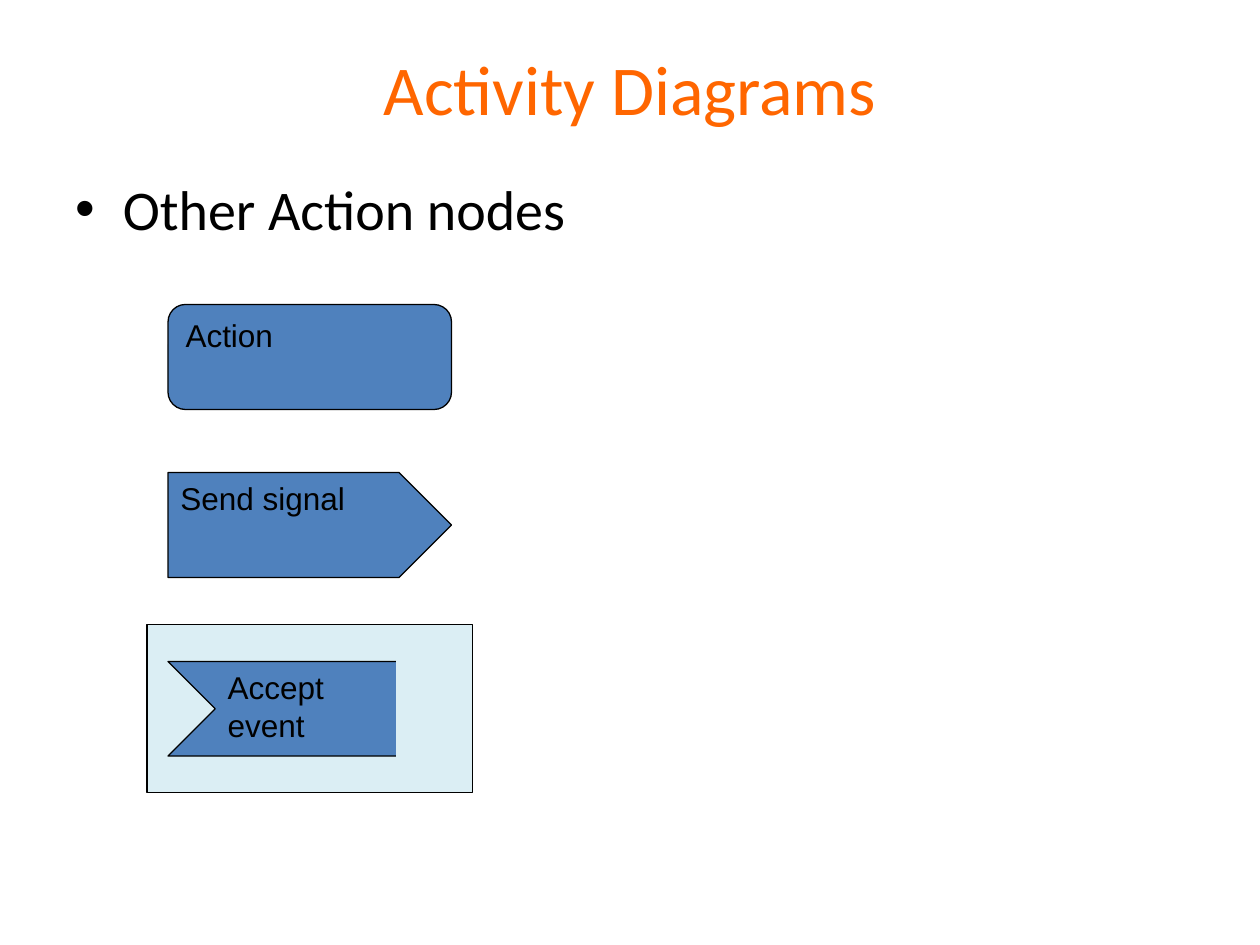
from pptx import Presentation
from pptx.dml.color import RGBColor
from pptx.enum import shapes, text
from pptx.util import Inches, Pt

ORANGE = RGBColor(0xFF, 0x66, 0x00)
BLACK = RGBColor(0, 0, 0)
BLUE = RGBColor(0x4F, 0x81, 0xBD)
PALE = RGBColor(0xDB, 0xEE, 0xF4)
KIND = shapes.MSO_SHAPE


def write(shape, words, size=18, font="Arial", color=BLACK,
          align=text.PP_ALIGN.LEFT, anchor=text.MSO_ANCHOR.TOP):
    frame = shape.text_frame
    frame.word_wrap = True
    frame.vertical_anchor = anchor
    para = frame.paragraphs[0]
    para.alignment = align
    run = para.add_run()
    run.text = words
    run.font.size = Pt(size)
    run.font.name = font
    run.font.color.rgb = color


class Board:
    """Slide on a grid of 60 columns by 45 rows."""
    cell = Inches(1) / 6

    def __init__(self):
        self.deck = Presentation()
        self.deck.slide_width = round(60 * self.cell)
        self.deck.slide_height = round(45 * self.cell)
        self.slide = self.deck.slides.add_slide(self.deck.slide_layouts[1])

    def span(self, *cells):
        return [round(n * self.cell) for n in cells]

    def holder(self, index, box, words, **style):
        item = self.slide.placeholders[index]
        item.left, item.top, item.width, item.height = self.span(*box)
        write(item, words, font="Calibri", **style)

    def node(self, kind, box, words="", fill=BLUE, line=BLACK):
        item = self.slide.shapes.add_shape(kind, *self.span(*box))
        item.shadow.inherit = False
        item.fill.solid()
        item.fill.fore_color.rgb = fill
        item.line.color.rgb = line
        item.line.width = Pt(0.75)
        if words:
            write(item, words)


def main():
    board = Board()

    # Title and list
    board.holder(0, (3, 1.8, 54, 4.75), "Activity Diagrams", size=40,
                 color=ORANGE, align=text.PP_ALIGN.CENTER,
                 anchor=text.MSO_ANCHOR.MIDDLE)
    board.holder(1, (3, 8, 54, 30.5), "Other Action nodes", size=32)

    # Panel behind the last node
    board.node(KIND.RECTANGLE, (7, 29.75, 15.5, 8), fill=PALE)

    # Action nodes, aligned on one column
    for kind, row, high, words in (
            (KIND.ROUNDED_RECTANGLE, 14.5, 5, "Action"),
            (KIND.PENTAGON, 22.5, 5, "Send signal"),
            (KIND.CHEVRON, 31.5, 4.5, "Accept event")):
        board.node(kind, (8, row, 13.5, high), words)

    # Cover that squares off the chevron's tip
    board.node(KIND.RECTANGLE, (18.9, 30.6, 3, 6.25), fill=PALE, line=PALE)

    board.deck.save("out.pptx")


if __name__ == "__main__":
    main()
